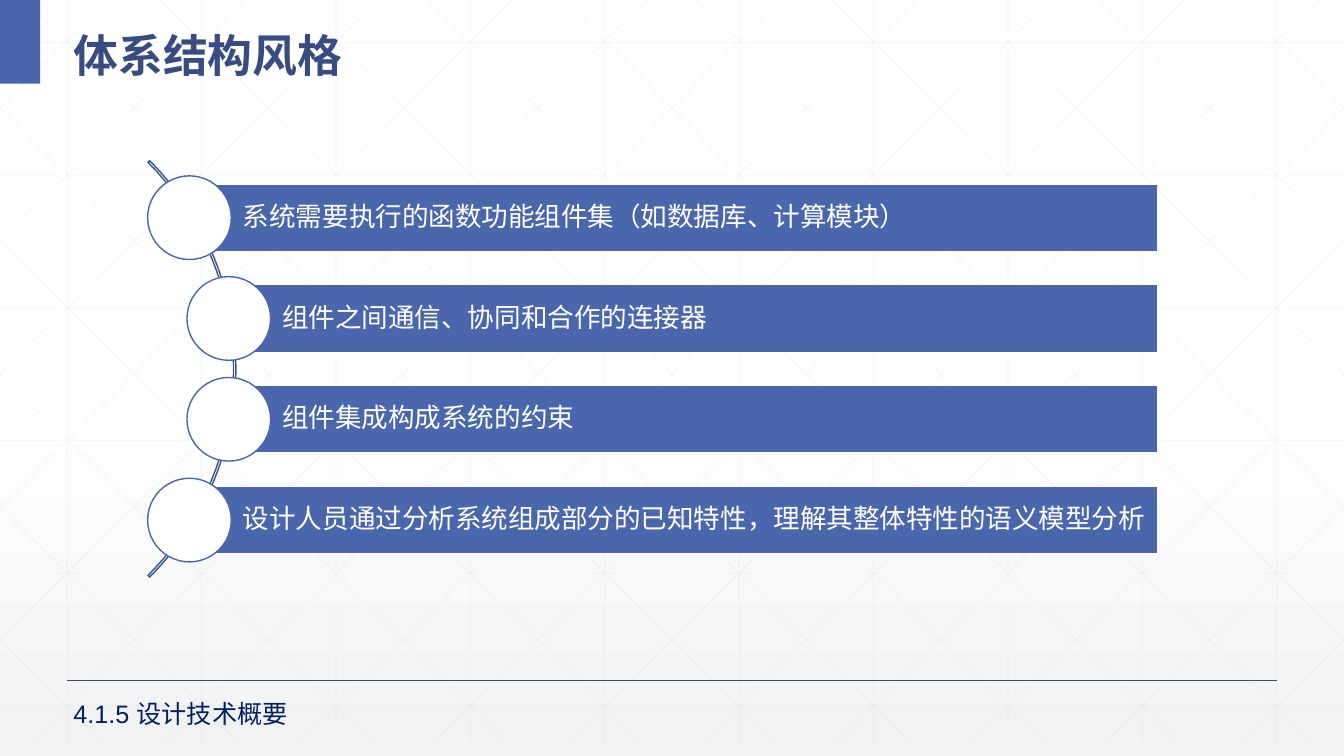
from dataclasses import dataclass

from lxml import etree
from pptx import Presentation
from pptx import util as u
from pptx.dml.color import RGBColor
from pptx.enum import shapes, text
from pptx.oxml.ns import qn


@dataclass(frozen=True)
class Theme:
    blue: str = "4A66AC"
    dark_blue: str = "384C81"
    arc_blue: str = "3B528A"
    navy: str = "002060"
    white: str = "FFFFFF"
    pale: str = "F2F2F2"
    lattice: str = "D9D9D9"
    body_font: str = "Arial"
    title_font: str = "Noto Sans CJK SC"
    title_size: float = 32
    item_size: float = 19
    section_size: float = 18


THEME = Theme()
WIDTH, HEIGHT = 40 / 3, 7.5
COLUMN, ROW = WIDTH / 10, 1.316
LATTICE_BOTTOM = 7.37
DIAGONAL_RUN = 7.45
MARGIN = COLUMN / 2

BAR_RIGHT, BAR_HEIGHT = 11.49, 0.67
FIRST_CENTRE, PITCH = 2.16, 1.0
CIRCLE = 0.83
ARC = 5.84
ITEMS = (
    (1.88, "系统需要执行的函数功能组件集（如数据库、计算模块）"),
    (2.27, "组件之间通信、协同和合作的连接器"),
    (2.27, "组件集成构成系统的约束"),
    (1.88, "设计人员通过分析系统组成部分的已知特性，理解其整体特性的语义模型分析"),
)


def inches(*lengths):
    return [u.Inches(length) for length in lengths]


def rgb(color):
    return RGBColor.from_string(color)


def paint_background(slide):
    fill = slide.background.fill
    fill.gradient()
    fill.gradient_angle = 270
    stops = slide.background._cSld.find(".//" + qn("a:gsLst"))
    for stop in list(stops):
        stops.remove(stop)
    for position, color in ((0, THEME.white), (53, THEME.white), (100, THEME.pale)):
        stop = etree.SubElement(stops, qn("a:gs"), pos=str(position * 1000))
        etree.SubElement(stop, qn("a:srgbClr"), val=color)


def add_line(slide, start, end, color, width, opacity=100):
    line = slide.shapes.add_connector(
        shapes.MSO_CONNECTOR.STRAIGHT, *inches(*start, *end))
    line.line.color.rgb = rgb(color)
    line.line.width = u.Pt(width)
    properties = line._element.spPr
    if opacity < 100:
        fill = properties.find(".//" + qn("a:srgbClr"))
        etree.SubElement(fill, qn("a:alpha"), val=str(opacity * 1000))
    etree.SubElement(properties, qn("a:effectLst"))


def add_lattice(slide):
    segments = [((MARGIN + COLUMN * i, 0), (MARGIN + COLUMN * i, LATTICE_BOTTOM))
                for i in range(10)]
    segments += [((0, 0.42 + ROW * i), (WIDTH, 0.42 + ROW * i)) for i in range(6)]
    slope = LATTICE_BOTTOM / DIAGONAL_RUN
    for i in range(-5, 10):
        origin = 0.25 + COLUMN * i
        left, right = max(origin, 0), min(origin + DIAGONAL_RUN, WIDTH)
        top, bottom = (left - origin) * slope, (right - origin) * slope
        segments.append(((left, top), (right, bottom)))
        segments.append(((WIDTH - left, top), (WIDTH - right, bottom)))
    for start, end in segments:
        add_line(slide, start, end, THEME.lattice, 0.5, 25)


def add_block(slide, kind, box, fill=None, line=None):
    block = slide.shapes.add_shape(kind, *inches(*box))
    block.shadow.inherit = False
    if fill:
        block.fill.solid()
        block.fill.fore_color.rgb = rgb(fill)
    else:
        block.fill.background()
    if line:
        block.line.color.rgb = rgb(line)
        block.line.width = u.Pt(1)
    else:
        block.line.fill.background()
    return block


def write(shape, words, font, size, color, bold=False, spacing=1.0,
          anchor=text.MSO_ANCHOR.MIDDLE):
    frame = shape.text_frame
    frame.word_wrap = True
    frame.auto_size = text.MSO_AUTO_SIZE.NONE
    frame.vertical_anchor = anchor
    frame.text = words
    paragraph = frame.paragraphs[0]
    paragraph.alignment = text.PP_ALIGN.LEFT
    paragraph.line_spacing = spacing
    paragraph.font.name = font
    paragraph.font.size = u.Pt(size)
    paragraph.font.bold = bold
    paragraph.font.color.rgb = rgb(color)
    etree.SubElement(paragraph.font._element, qn("a:ea"), typeface=font)
    return frame


def add_title(slide, words):
    title = slide.shapes.title
    title.left, title.top, title.width, title.height = inches(0.63, 0.1, 12.42, 0.73)
    write(title, words, THEME.title_font, THEME.title_size, THEME.dark_blue,
          bold=True, spacing=1.3)
    slide.shapes._spTree.append(title._element)


def add_arc(slide):
    middle = FIRST_CENTRE + PITCH * (len(ITEMS) - 1) / 2
    arc = add_block(slide, shapes.MSO_SHAPE.BLOCK_ARC,
                    (-3.5, middle - ARC / 2, ARC, ARC), line=THEME.arc_blue)
    for index, value in enumerate((189, 27, 0.004)):
        arc.adjustments[index] = value


def add_item(slide, index, left, words):
    centre = FIRST_CENTRE + PITCH * index
    bar = add_block(slide, shapes.MSO_SHAPE.RECTANGLE,
                    (left, centre - BAR_HEIGHT / 2, BAR_RIGHT - left, BAR_HEIGHT),
                    THEME.blue, THEME.white)
    frame = write(bar, words, THEME.body_font, THEME.item_size, THEME.white, spacing=0.9)
    frame.margin_left = u.Inches(0.53)
    frame.margin_right = frame.margin_top = frame.margin_bottom = u.Inches(0.05)
    add_block(slide, shapes.MSO_SHAPE.OVAL,
              (left - CIRCLE / 2, centre - CIRCLE / 2, CIRCLE, CIRCLE),
              THEME.white, THEME.blue)


def add_section(slide, words):
    section = slide.shapes.add_textbox(*inches(0.63, 6.88, 3.53, 0.4))
    write(section, words, THEME.body_font, THEME.section_size, THEME.navy,
          anchor=text.MSO_ANCHOR.TOP)


def main():
    presentation = Presentation()
    presentation.slide_width, presentation.slide_height = inches(WIDTH, HEIGHT)
    slide = presentation.slides.add_slide(presentation.slide_layouts[5])
    paint_background(slide)
    add_lattice(slide)
    add_line(slide, (MARGIN, 0.9 * HEIGHT), (WIDTH - MARGIN, 0.9 * HEIGHT),
             THEME.dark_blue, 1)
    add_block(slide, shapes.MSO_SHAPE.RECTANGLE, (0, 0, 0.4, 0.83), THEME.blue)
    add_title(slide, "体系结构风格")
    add_arc(slide)
    for index, (left, words) in enumerate(ITEMS):
        add_item(slide, index, left, words)
    add_section(slide, "4.1.5 设计技术概要")
    presentation.save("out.pptx")


if __name__ == "__main__":
    main()
